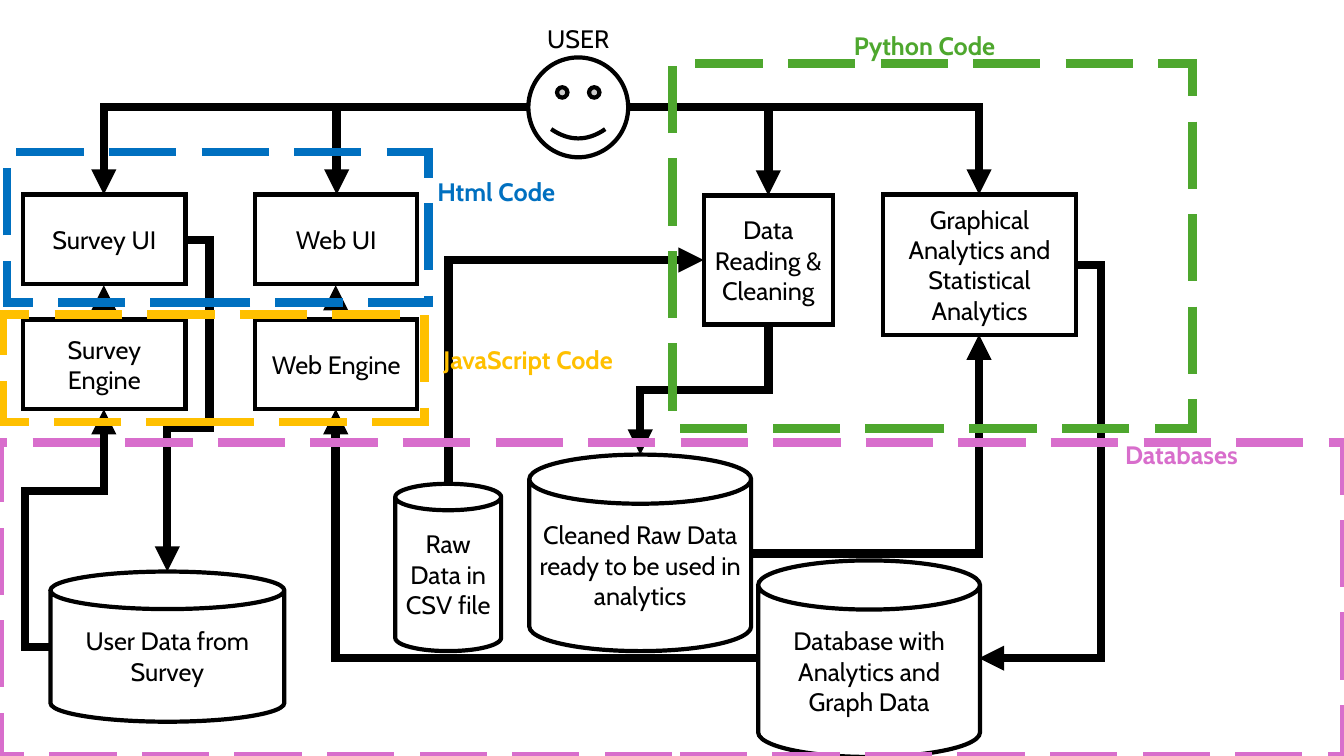
from pptx import Presentation
from pptx import util as u
from pptx.dml.color import RGBColor
from pptx.enum import dml, shapes, text
from pptx.oxml.ns import qn
from lxml import etree

COLORS = {"ink": "000000", "paper": "FFFFFF", "python": "4EA72E",
          "html": "0070C0", "javascript": "FFC000", "databases": "D86ECC"}
FONT = "Cabin"
RECT = shapes.MSO_SHAPE.RECTANGLE
CAN = shapes.MSO_SHAPE.CAN

NODES = [
    ("Data Reading & Cleaning", RECT, (6.98, 1.94, 1.28, 1.28)),
    ("Cleaned Raw Data ready to be used in analytics", CAN, (5.25, 4.51, 2.2, 1.95)),
    ("Graphical Analytics and Statistical Analytics", RECT, (8.76, 1.93, 1.91, 1.39)),
    ("Database with Analytics and Graph Data", CAN, (7.52, 5.56, 2.2, 1.95)),
    ("Web Engine", RECT, (2.53, 3.17, 1.61, 0.89)),
    ("Web UI", RECT, (2.53, 1.93, 1.61, 0.89)),
    ("Survey Engine", RECT, (0.23, 3.17, 1.61, 0.89)),
    ("Survey UI", RECT, (0.23, 1.93, 1.61, 0.89)),
    ("User Data from Survey", CAN, (0.5, 5.67, 2.32, 1.49)),
    ("Raw Data in CSV file", CAN, (3.92, 4.8, 1.05, 1.66)),
]

ROUTES = [
    [(6.24, 1.06), (7.62, 1.06), (7.62, 1.94)],
    [(6.24, 1.06), (9.71, 1.06), (9.71, 1.93)],
    [(5.24, 1.06), (3.34, 1.06), (3.34, 1.93)],
    [(5.24, 1.06), (1.03, 1.06), (1.03, 1.93)],
    [(7.62, 3.22), (7.62, 3.87), (6.35, 3.87), (6.35, 4.51)],
    [(7.45, 5.49), (9.71, 5.49), (9.71, 3.32)],
    [(10.67, 2.63), (10.92, 2.63), (10.92, 6.53), (9.71, 6.53)],
    [(3.33, 3.17), (3.33, 2.83)],
    [(1.03, 3.17), (1.03, 2.83)],
    [(7.52, 6.53), (3.33, 6.53), (3.33, 4.06)],
    [(1.83, 2.38), (2.08, 2.38), (2.08, 4.25), (1.66, 4.25), (1.66, 5.67)],
    [(0.5, 6.42), (0.25, 6.42), (0.25, 4.87), (1.03, 4.87), (1.03, 4.06)],
    [(4.45, 4.8), (4.45, 2.58), (6.98, 2.58)],
]

ZONES = [
    ("Databases", "databases", (0, 4.39, 13.33, 3.11), (11.06, 4.31, 1.43, 0.4)),
    ("Python Code", "python", (6.67, 0.63, 5.16, 3.62), (8.37, 0.25, 1.67, 0.4)),
    ("Html Code", "html", (0.07, 1.51, 4.18, 1.49), (4.24, 1.7, 1.44, 0.4)),
    ("JavaScript Code", "javascript", (0.03, 3.12, 4.18, 1.07), (4.3, 3.37, 2.04, 0.4)),
]


def rgb(name):
    """Return the named colour."""
    return RGBColor.from_string(COLORS[name])


def inches(values):
    """Convert numbers to lengths."""
    return [u.Inches(v) for v in values]


def write(tf, words, color="ink", bold=False, align=None, wrap=True):
    """Put one formatted paragraph in a text frame."""
    tf.word_wrap = wrap
    p = tf.paragraphs[0]
    p.alignment = align
    r = p.add_run()
    r.text = words
    r.font.name = FONT
    r.font.size = u.Pt(18)
    r.font.bold = bold
    r.font.color.rgb = rgb(color)


def outline(line, color, width, dash=None):
    """Give a line its colour, width, dash and sharp corners."""
    line.color.rgb = rgb(color)
    line.width = u.Pt(width)
    if dash:
        line.dash_style = dash
    ln = line._get_or_add_ln()
    etree.SubElement(ln, qn("a:miter"), lim="800000")
    return ln


def add_node(s, kind, box, words=""):
    """Add a white shape with a black outline and centred text."""
    sp = s.shapes.add_shape(kind, *inches(box))
    sp.shadow.inherit = False
    sp.fill.solid()
    sp.fill.fore_color.rgb = rgb("paper")
    outline(sp.line, "ink", 3)
    if words:
        sp.text_frame.vertical_anchor = text.MSO_ANCHOR.MIDDLE
        write(sp.text_frame, words, align=text.PP_ALIGN.CENTER)
    return sp


def add_label(s, box, words, **fmt):
    """Add a text box that fits its text."""
    tf = s.shapes.add_textbox(*inches(box)).text_frame
    tf.auto_size = text.MSO_AUTO_SIZE.SHAPE_TO_FIT_TEXT
    write(tf, words, **fmt)


def add_zone(s, box, color):
    """Add a dashed frame."""
    sp = s.shapes.add_shape(RECT, *inches(box))
    sp.shadow.inherit = False
    sp.fill.background()
    outline(sp.line, color, 6, dml.MSO_LINE.LONG_DASH)


def add_route(s, points):
    """Add an arrow that follows right-angled points."""
    (x1, y1), (x2, y2) = points[0], points[-1]
    dx, dy = x2 - x1, y2 - y1
    bends = points[1:-1]
    turned = bool(bends) and bends[0][0] == x1
    w, h = (dy, -dx) if turned else (dx, dy)
    cx, cy = (x1 + x2) / 2, (y1 + y2) / 2
    kind = shapes.MSO_CONNECTOR.ELBOW if bends else shapes.MSO_CONNECTOR.STRAIGHT
    c = s.shapes.add_connector(
        kind, *inches((cx - w / 2, cy - h / 2, cx + w / 2, cy + h / 2)))
    pr = c._element.spPr
    if turned:
        pr.find(qn("a:xfrm")).set("rot", "5400000")
    if bends:
        geom = pr.find(qn("a:prstGeom"))
        geom.set("prst", f"bentConnector{len(bends) + 1}")
        guides = geom.find(qn("a:avLst"))
        for i, (x, y) in enumerate(bends[:-1]):
            vertical = turned != (i % 2 == 1)
            share = (y - y1) / dy if vertical else (x - x1) / dx
            etree.SubElement(guides, qn("a:gd"), name=f"adj{i + 1}",
                             fmla=f"val {round(share * 100000)}")
    ln = outline(c.line, "ink", 6)
    etree.SubElement(ln, qn("a:tailEnd"), type="triangle")
    etree.SubElement(pr, qn("a:effectLst"))


def main():
    """Build the data flow slide."""
    prs = Presentation()
    prs.slide_width, prs.slide_height = inches((13.33, 7.5))
    s = prs.slides.add_slide(prs.slide_layouts[6])
    user = add_node(s, shapes.MSO_SHAPE.SMILEY_FACE, (5.24, 0.57, 0.99, 0.99))
    user.adjustments[0] = 0.05
    add_label(s, (5.24, 0.18, 0.99, 0.4), "USER", align=text.PP_ALIGN.CENTER)
    for words, kind, box in NODES:
        add_node(s, kind, box, words)
    for points in ROUTES:
        add_route(s, points)
    for _, color, box, _ in ZONES:
        add_zone(s, box, color)
    for words, color, _, box in ZONES:
        add_label(s, box, words, color=color, bold=True, wrap=False)
    prs.save("out.pptx")


if __name__ == "__main__":
    main()
